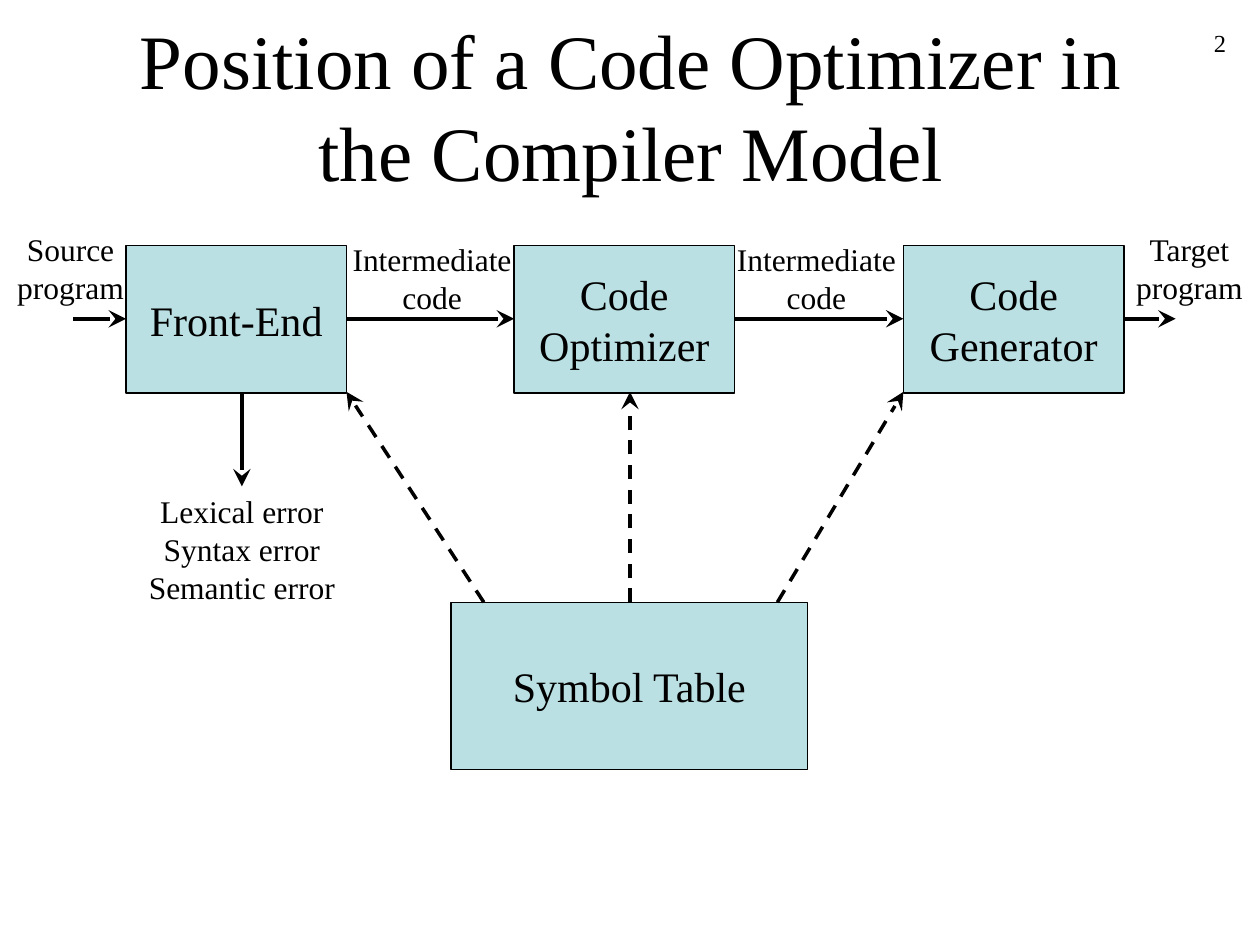
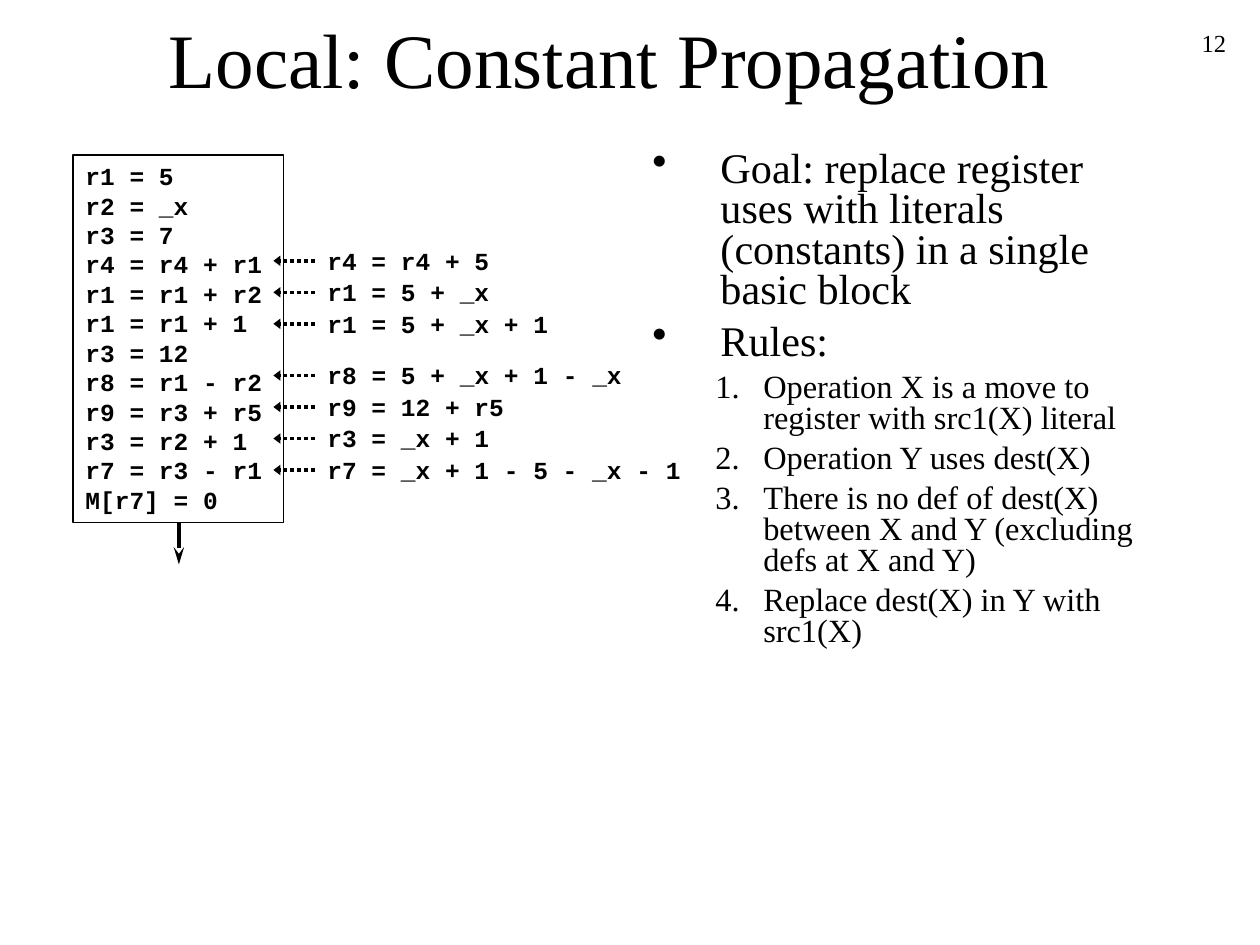
from copy import deepcopy

from pptx import Presentation
from pptx.dml.color import RGBColor
from pptx.enum.dml import MSO_LINE
from pptx.enum.shapes import MSO_CONNECTOR, MSO_SHAPE
from pptx.enum.text import MSO_ANCHOR, MSO_AUTO_SIZE, PP_ALIGN
from pptx.oxml.ns import qn
from pptx.oxml.xmlchemy import OxmlElement
from pptx.util import Inches, Pt

# Shared look
BLACK, BOX_FILL = "000000", "BBE0E3"
SERIF, MONO = "Times New Roman", "Courier New"
LEFT, CENTER, RIGHT = PP_ALIGN.LEFT, PP_ALIGN.CENTER, PP_ALIGN.RIGHT
TOP, MIDDLE = MSO_ANCHOR.TOP, MSO_ANCHOR.MIDDLE
GROW = MSO_AUTO_SIZE.SHAPE_TO_FIT_TEXT
RECT, STRAIGHT = MSO_SHAPE.RECTANGLE, MSO_CONNECTOR.STRAIGHT
DASH, DOT = MSO_LINE.DASH, MSO_LINE.ROUND_DOT

TITLE = {"name": SERIF, "size": Pt(44)}
PAGE_NUMBER = {"name": SERIF, "size": Pt(14)}
STAGE = {"name": SERIF, "size": Pt(24)}
LABEL = {"name": SERIF, "size": Pt(18)}
CODE = {"name": MONO, "size": Pt(14), "bold": True}
POINT = {"name": SERIF, "size": Pt(24.1)}
RULE = {"name": SERIF, "size": Pt(18.5)}

# Arrowheads
WIDE_HEAD = {"type": "stealth", "w": "lg", "len": "lg"}
LONG_HEAD = {"type": "stealth", "w": "med", "len": "lg"}
SHORT_HEAD = {"type": "triangle", "w": "med", "len": "sm"}


def color(hex_text):
    return RGBColor.from_string(hex_text)


def element(tag, **attributes):
    el = OxmlElement(tag)
    for name, value in attributes.items():
        el.set(name, value)
    return el


# Text
def write(p, text, style, align=LEFT):
    p.text = text
    p.alignment = align
    for r in p.runs:
        for name, value in style.items():
            setattr(r.font, name, value)
        r.font.color.rgb = color(BLACK)
    # Line breaks take the height of the text around them
    for br in p._p.findall(qn("a:br")):
        br.append(deepcopy(p.runs[0]._r.rPr))


def add_text(s, at, text, style, align=LEFT, anchor=TOP, wrap=True):
    sp = s.shapes.add_textbox(*map(Inches, at))
    tf = sp.text_frame
    tf.word_wrap, tf.vertical_anchor = wrap, anchor
    if not wrap:
        tf.auto_size = GROW
    write(tf.paragraphs[0], text, style, align)
    return tf


def add_box(s, at, text, style, fill=None, align=CENTER, anchor=MIDDLE):
    sp = s.shapes.add_shape(RECT, *map(Inches, at))
    sp.shadow.inherit = False
    if fill:
        sp.fill.solid()
        sp.fill.fore_color.rgb = color(fill)
    else:
        sp.fill.background()
    sp.line.color.rgb = color(BLACK)
    sp.line.width = Pt(0.75)
    tf = sp.text_frame
    tf.word_wrap, tf.vertical_anchor = False, anchor
    write(tf.paragraphs[0], text, style, align)


def add_list_item(p, text, style, level, indent, hang, before, bullet):
    pPr = p._p.get_or_add_pPr()
    pPr.set("marL", str(Inches(indent)))
    pPr.set("indent", str(-Inches(hang)))
    pPr.append(bullet)
    p.level, p.line_spacing, p.space_before = level, 0.8, Pt(before)
    write(p, text, style)


# Arrows
def add_arrow(s, start, end, dash=None, head=WIDE_HEAD):
    points = map(Inches, (*start, *end))
    cx = s.shapes.add_connector(STRAIGHT, *points)
    cx.line.color.rgb = color(BLACK)
    cx.line.width = Pt(2)
    if dash:
        cx.line.dash_style = dash
    cx.line._get_or_add_ln().append(element("a:tailEnd", **head))
    cx._element.spPr.append(element("a:effectLst"))


def add_slide(prs, number, title, title_at, title_anchor=TOP):
    s = prs.slides.add_slide(prs.slide_layouts[6])
    add_text(s, (7.75, 0.17, 2.08, 0.5), number, PAGE_NUMBER, RIGHT)
    add_text(s, title_at, title, TITLE, CENTER, title_anchor)
    return s


# Slide: compiler stages sharing one symbol table
def build_compiler_model(prs):
    s = add_slide(prs, "2", "Position of a Code Optimizer in the Compiler Model",
                  (0.76, 0.05, 8.5, 1.42))
    top, width, height = 1.95, 1.75, 1.17
    bottom, flow_y, table_top = 3.11, 2.53, 4.78
    stages = {"Front-End": 1, "Code\nOptimizer": 4.08, "Code\nGenerator": 7.17}
    for name, x in stages.items():
        add_box(s, (x, top, width, height), name, STAGE, BOX_FILL)
    add_box(s, (3.58, table_top, 2.83, 1.33), "Symbol Table", STAGE, BOX_FILL)

    # Flow from source to target
    front, optimizer, generator = stages.values()
    for x1, x2 in ((0.58, front), (front + width, optimizer),
                   (optimizer + width, generator), (generator + width, 9.33)):
        add_arrow(s, (x1, flow_y), (x2, flow_y))
    add_arrow(s, (1.92, bottom), (1.92, 3.86))

    # Symbol table lookups
    for x1, x2 in ((3.84, front + width), (5, 5), (6.17, generator)):
        add_arrow(s, (x1, table_top), (x2, bottom), DASH)

    # Labels, each centred on its x with room to stay unbroken
    for center, y, label_width, label_height, text in (
        (0.56, 1.78, 1.12, 0.7, "Source\nprogram"),
        (3.43, 1.86, 1.54, 0.7, "Intermediate\ncode"),
        (6.48, 1.86, 1.54, 0.7, "Intermediate\ncode"),
        (9.44, 1.78, 1.12, 0.7, "Target\nprogram"),
        (1.92, 3.86, 1.76, 1, "Lexical error\nSyntax error\nSemantic error"),
    ):
        at = (center - label_width / 2, y, label_width, label_height)
        add_text(s, at, text, LABEL, CENTER, wrap=False)


# Slide: code block with propagated values, goal and rules
def build_constant_propagation(prs):
    s = add_slide(prs, "12", "Local: Constant Propagation",
                  (0.59, 0, 8.5, 0.92), MIDDLE)
    code = ["r1 = 5", "r2 = _x", "r3 = 7", "r4 = r4 + r1", "r1 = r1 + r2",
            "r1 = r1 + 1", "r3 = 12", "r8 = r1 - r2", "r9 = r3 + r5",
            "r3 = r2 + 1", "r7 = r3 - r1", "M[r7] = 0"]
    add_box(s, (0.58, 1.23, 1.67, 2.92), "\n".join(code), CODE,
            align=LEFT, anchor=TOP)
    add_arrow(s, (1.42, 4.15), (1.42, 4.48), head=LONG_HEAD)

    # Rewritten statements, in two evenly spaced groups
    groups = {
        2.07: ["r4 = r4 + 5", "r1 = 5 + _x", "r1 = 5 + _x + 1"],
        2.98: ["r8 = 5 + _x + 1 - _x", "r9 = 12 + r5", "r3 = _x + 1",
               "r7 = _x + 1 - 5 - _x - 1"],
    }
    for first_y, statements in groups.items():
        for i, text in enumerate(statements):
            y = first_y + 0.25 * i
            # Character width times length, plus side margins and slack
            width = 0.12 * len(text) + 0.22
            add_arrow(s, (2.5, y), (2.17, y), DOT, SHORT_HEAD)
            add_text(s, (2.5, y - 0.17, width, 0.34), text, CODE, wrap=False)

    # Goal and numbered rules
    points = ["Goal: replace register uses with literals (constants) "
              "in a single basic block", "Rules:"]
    rules = ["Operation X is a move to register with src1(X) literal",
             "Operation Y uses dest(X)",
             "There is no def of dest(X) between X and Y "
             "(excluding defs at X and Y)",
             "Replace dest(X) in Y with src1(X)"]
    tf = add_text(s, (5.08, 1.15, 4.17, 4.5), "", POINT)
    for i, text in enumerate(points):
        p = tf.add_paragraph() if i else tf.paragraphs[0]
        add_list_item(p, text, POINT, 0, 0.54, 0.54, 6.5 if i else 0,
                      element("a:buChar", char="•"))
    for text in rules:
        add_list_item(tf.add_paragraph(), text, RULE, 1, 0.88, 0.38, 5,
                      element("a:buAutoNum", type="arabicPeriod"))


def main():
    prs = Presentation()
    prs.slide_width, prs.slide_height = Inches(10), Inches(7.5)
    build_compiler_model(prs)
    build_constant_propagation(prs)
    prs.save("out.pptx")


if __name__ == "__main__":
    main()
